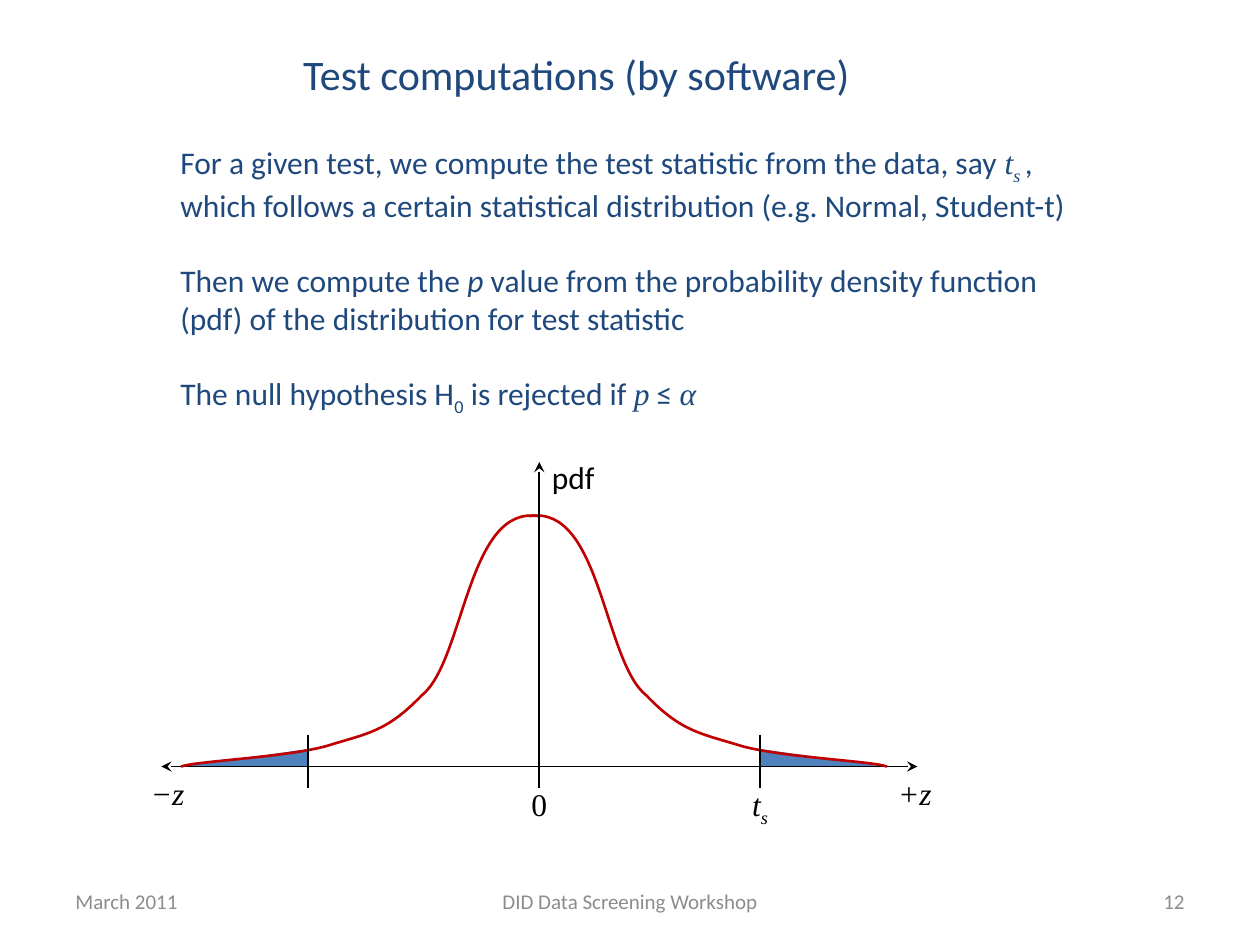
from dataclasses import dataclass

from lxml.etree import SubElement
from pptx import Presentation
from pptx.dml.color import RGBColor
from pptx.enum.shapes import MSO_CONNECTOR, MSO_SHAPE
from pptx.enum.text import MSO_ANCHOR, MSO_AUTO_SIZE, PP_ALIGN
from pptx.oxml.ns import qn
from pptx.util import Pt

NAVY = RGBColor(0x1F, 0x49, 0x7D)
GRAY = RGBColor(0x8C, 0x8C, 0x8C)
BLACK = RGBColor(0, 0, 0)
RED = RGBColor(0xC0, 0, 0)
BLUE = RGBColor(0x4F, 0x81, 0xBD)
SANS, SERIF = "Calibri", "Times New Roman"

Point = tuple[float, float]

# Axes and curve geometry, in points
MIRROR_SUM = 610.4
AXIS_X, AXIS_Y = 308.2, 438
CRITICAL_X = 434.2
TICK_TOP, TICK_BOTTOM = 419.8, 450
TAIL_WIDTH, TAIL_HEIGHT = 72, 10
# Start point, then two control points and an end point for each cubic segment
CURVE: list[Point] = [
    (302.4, 295),
    (343.4, 287.8), (344.9, 378), (369.4, 397.4),
    (389.5, 418.3), (400.3, 419), (423.4, 426.2),
    (446.4, 432.7), (498.2, 434.9), (506.9, AXIS_Y),
]


@dataclass
class Piece:
    text: str
    font: str | None = None
    italic: bool | None = None
    subscript: bool = False


@dataclass
class Label:
    left: float
    top: float
    width: float
    height: float
    paragraphs: list[list[Piece]]
    size: float = 18
    color: RGBColor = BLACK
    font: str = SANS
    align: PP_ALIGN = PP_ALIGN.LEFT
    anchor: MSO_ANCHOR = MSO_ANCHOR.TOP
    wrap: bool = False
    gap: float = 0


@dataclass
class Stroke:
    start: Point
    end: Point
    width: float = 1
    arrows: tuple[str, ...] = ()


def add_label(slide, label: Label) -> None:
    shape = slide.shapes.add_textbox(
        Pt(label.left), Pt(label.top), Pt(label.width), Pt(label.height))
    frame = shape.text_frame
    frame.word_wrap = label.wrap
    frame.vertical_anchor = label.anchor
    if label.anchor == MSO_ANCHOR.TOP:
        frame.auto_size = MSO_AUTO_SIZE.SHAPE_TO_FIT_TEXT
    for index, pieces in enumerate(label.paragraphs):
        paragraph = frame.add_paragraph() if index else frame.paragraphs[0]
        paragraph.alignment = label.align
        if index:
            paragraph.space_before = Pt(label.gap)
        paragraph.font.size = Pt(label.size)
        paragraph.font.name = label.font
        paragraph.font.color.rgb = label.color
        for piece in pieces:
            run = paragraph.add_run()
            run.text = piece.text
            run.font.italic = piece.italic
            if piece.font:
                run.font.name = piece.font
            if piece.subscript:
                run._r.get_or_add_rPr().set("baseline", "-25000")


def add_stroke(slide, stroke: Stroke) -> None:
    connector = slide.shapes.add_connector(
        MSO_CONNECTOR.STRAIGHT, *(Pt(value) for value in stroke.start + stroke.end))
    connector.line.color.rgb = BLACK
    connector.line.width = Pt(stroke.width)
    line = connector.line._get_or_add_ln()
    for arrow in stroke.arrows:
        SubElement(line, qn(f"a:{arrow}"), type="stealth")
    SubElement(connector._element.spPr, qn("a:effectLst"))


def add_curve(slide, points: list[Point]) -> None:
    vertices = [(Pt(x), Pt(y)) for x, y in points]
    builder = slide.shapes.build_freeform(*vertices[0], scale=1.0)
    builder.add_line_segments(vertices[1:], close=False)
    shape = builder.convert_to_shape()
    # Turn every three straight segments into one cubic segment
    segments = list(shape._element.iter(qn("a:lnTo")))
    outline = segments[0].getparent()
    for index, segment in enumerate(segments):
        if index % 3 == 0:
            cubic = SubElement(outline, qn("a:cubicBezTo"))
        cubic.append(segment[0])
        outline.remove(segment)
    shape.shadow.inherit = False
    shape.fill.background()
    shape.line.color.rgb = RED
    shape.line.width = Pt(1.5)


def add_tail(slide, left: float, apex: float) -> None:
    shape = slide.shapes.add_shape(
        MSO_SHAPE.ISOSCELES_TRIANGLE, Pt(left), Pt(AXIS_Y - TAIL_HEIGHT),
        Pt(TAIL_WIDTH), Pt(TAIL_HEIGHT))
    shape.adjustments[0] = apex
    shape.shadow.inherit = False
    shape.fill.solid()
    shape.fill.fore_color.rgb = BLUE
    shape.line.fill.background()


def footer(left: float, width: float, text: str, align: PP_ALIGN) -> Label:
    return Label(left, 500.4, width, 28.8, [[Piece(text)]], 12, GRAY,
                 align=align, anchor=MSO_ANCHOR.MIDDLE, wrap=True)


BODY = [
    [Piece("For a given test, we compute the test statistic from the data, say "),
     Piece("t", SERIF, True), Piece("s ", SERIF, True, True),
     Piece(", which follows a certain statistical distribution (e.g. Normal, Student-t)")],
    [Piece("Then we compute the "), Piece("p", italic=True),
     Piece(" value from the probability density function (pdf) of the "
           "distribution for test statistic")],
    [Piece("The null hypothesis H"), Piece("0", subscript=True),
     Piece(" is rejected if "), Piece("p", SERIF, True), Piece(" ≤ "),
     Piece("α", SERIF, True)],
]

FRAME_LABELS = [
    footer(36, 168, "March 2011", PP_ALIGN.LEFT),
    footer(246, 228, "DID Data Screening Workshop", PP_ALIGN.CENTER),
    footer(516, 168, "12", PP_ALIGN.RIGHT),
    Label(166.2, 24.1, 330.5, 36, [[Piece("Test computations (by software)")]], 24, NAVY),
]

CONTENT_LABELS = [
    Label(422.8, 445, 24.5, 28.8,
          [[Piece("t", italic=True), Piece("s", italic=True, subscript=True)]], font=SERIF),
    Label(308.2, 258.1, 39.6, 28.8, [[Piece("pdf")]]),
    Label(79.2, 438.8, 33.8, 28.8, [[Piece("−z", italic=True)]], font=SERIF),
    Label(506.2, 438.8, 33.8, 28.8, [[Piece("+z", italic=True)]], font=SERIF),
    Label(296.6, 445, 23.8, 28.8, [[Piece("0")]], font=SERIF),
    Label(96, 78.2, 527.8, 159.8, BODY, color=NAVY, wrap=True, gap=21.3),
]

HORIZONTAL_AXIS = Stroke((92.2, AXIS_Y), (524.2, AXIS_Y), arrows=("headEnd", "tailEnd"))
UPPER_STROKES = [
    *(Stroke((x, TICK_TOP), (x, TICK_BOTTOM), 1.25)
      for x in (MIRROR_SUM - CRITICAL_X, CRITICAL_X)),
    Stroke((AXIS_X, TICK_BOTTOM), (AXIS_X, 264), arrows=("tailEnd",)),
]


def main() -> None:
    presentation = Presentation()
    presentation.slide_width, presentation.slide_height = Pt(720), Pt(540)
    slide = presentation.slides.add_slide(presentation.slide_layouts[6])

    # Footer and title
    for label in FRAME_LABELS:
        add_label(slide, label)

    # Shaded rejection regions on the horizontal axis
    add_tail(slide, MIRROR_SUM - CRITICAL_X - TAIL_WIDTH, 1)
    add_tail(slide, CRITICAL_X, 0)
    add_stroke(slide, HORIZONTAL_AXIS)

    # Density curve, right half and its mirror
    add_curve(slide, CURVE)
    add_curve(slide, [(MIRROR_SUM - x, y) for x, y in CURVE])

    # Ticks, vertical axis, diagram labels and body
    for stroke in UPPER_STROKES:
        add_stroke(slide, stroke)
    for label in CONTENT_LABELS:
        add_label(slide, label)

    presentation.save("out.pptx")


if __name__ == "__main__":
    main()
